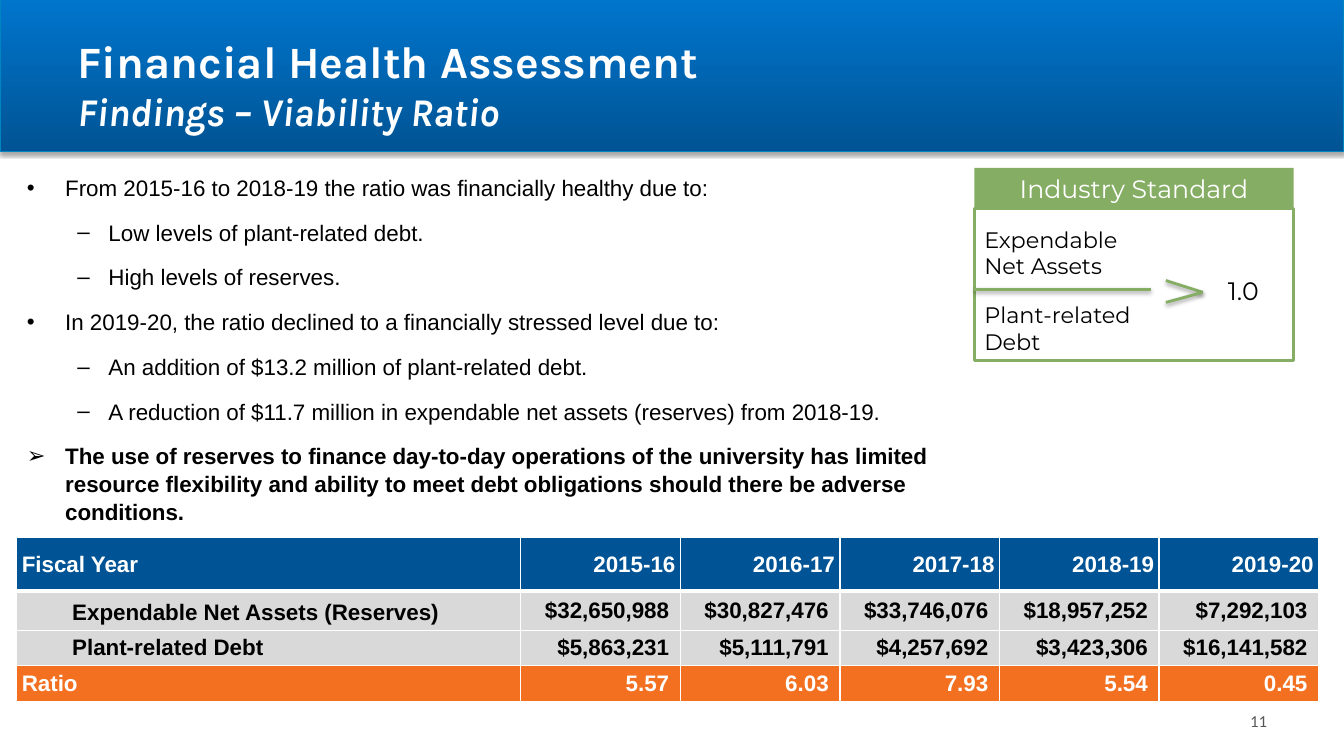
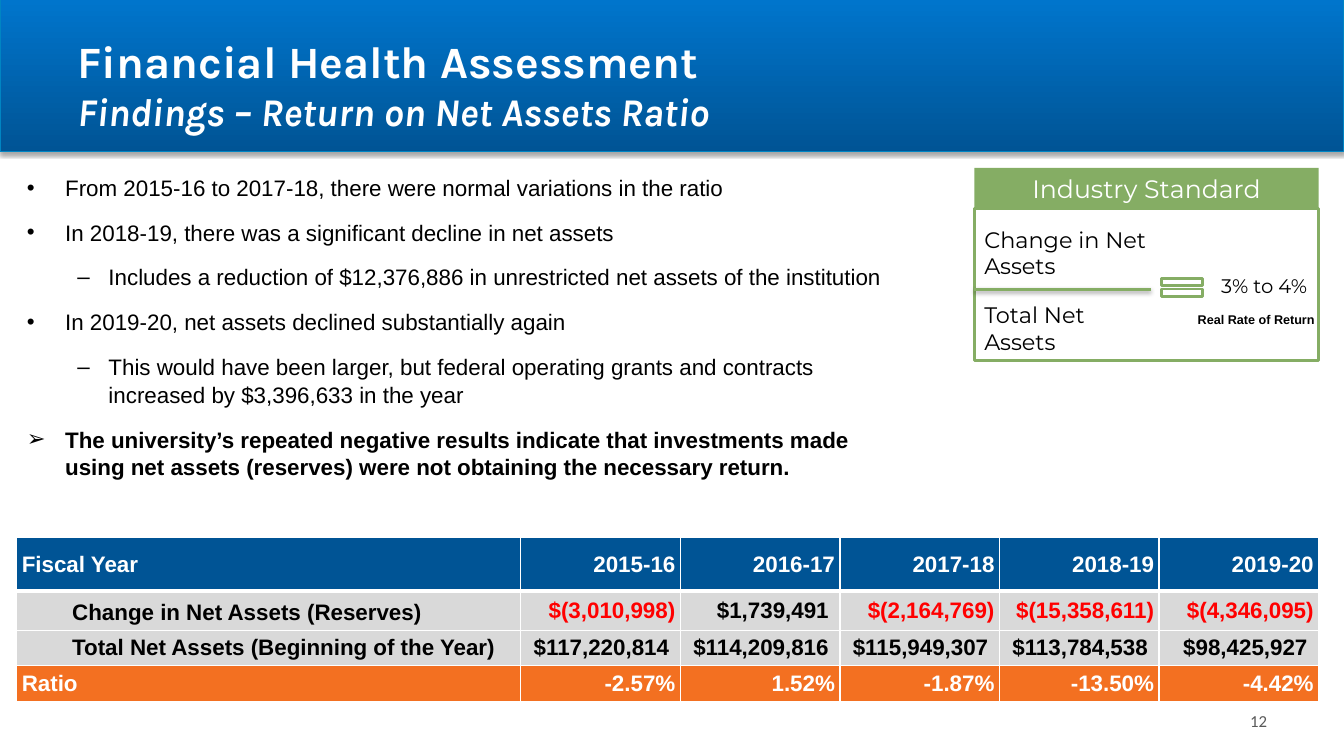
from pptx import Presentation, util as u
from pptx.dml.color import RGBColor
from pptx.enum import shapes, text
from pptx.oxml import parse_xml
from pptx.oxml.ns import nsdecls
from pptx.oxml.xmlchemy import OxmlElement

COLS, ROWS, CELLS_PER_INCH = 80, 45, 6
NAVY, BLUE, BAND_EDGE = "005495", "0075CC", "0085C3"
GREEN, ORANGE, GREY = "85AD64", "F37021", "D9D9D9"
WHITE, BLACK, RED, DIM = "FFFFFF", "000000", "FF0000", "595959"
YEARS = ["2015-16", "2016-17", "2017-18", "2018-19", "2019-20"]
BULLETS = {"•": (0, 0.38, -0.38), "–": (1, 0.81, -0.31), "➢": (0, 0.38, -0.38)}
CARD_LEFT, CARD_TOP, HEAD_HEIGHT = 58, 10, 2.4
LEFT, CENTER, RIGHT = text.PP_ALIGN.LEFT, text.PP_ALIGN.CENTER, text.PP_ALIGN.RIGHT
MIDDLE, BOTTOM = text.MSO_ANCHOR.MIDDLE, text.MSO_ANCHOR.BOTTOM


def grid(*counts):
    """Turn grid counts into lengths."""
    return [u.Inches(count / CELLS_PER_INCH) for count in counts]


def color(value):
    """Turn a hex string into a colour."""
    return RGBColor.from_string(value)


def place(shape, *area):
    """Move and size a shape on the grid."""
    shape.left, shape.top, shape.width, shape.height = grid(*area)


def add_span(para, words, size, face, ink, bold=None, italic=None):
    """Add one formatted run."""
    span = para.add_run()
    span.text = words
    font = span.font
    font.size, font.name, font.bold, font.italic = u.Pt(size), face, bold, italic
    font.color.rgb = color(ink)
    return span


def add_label(page, area, words, size, face="Montserrat", ink=BLACK, align=LEFT, bold=None):
    """Add a wrapped one-paragraph text box."""
    box = page.shapes.add_textbox(*grid(*area))
    box.text_frame.word_wrap = True
    para = box.text_frame.paragraphs[0]
    para.alignment = align
    add_span(para, words, size, face, ink, bold)
    return box


def add_shadow(shape, opacity, distance):
    """Give a shape a soft shadow below it."""
    shape.element.spPr.append(parse_xml(
        f'<a:effectLst {nsdecls("a")}><a:outerShdw blurRad="{u.Pt(3.1)}" dist="{u.Pt(distance)}" '
        f'dir="5400000" rotWithShape="0"><a:srgbClr val="000000"><a:alpha val="{opacity * 1000}"/>'
        '</a:srgbClr></a:outerShdw></a:effectLst>'))


def add_block(page, kind, area, fill, edge=None):
    """Add a flat preset shape, outlined if an edge colour is given."""
    block = page.shapes.add_shape(kind, *grid(*area))
    block.shadow.inherit = False
    block.fill.solid()
    block.fill.fore_color.rgb = color(fill)
    if edge:
        block.line.color.rgb, block.line.width = color(edge), u.Pt(2)
    else:
        block.line.fill.background()
    return block


def add_rule(owner, *ends):
    """Add a green shadowed line."""
    rule = owner.shapes.add_connector(shapes.MSO_CONNECTOR.STRAIGHT, *grid(*ends))
    rule.line.color.rgb, rule.line.width = color(GREEN), u.Pt(2)
    add_shadow(rule, 38, 1.6)


def add_band(page):
    """Put the title band on the layout of a page."""
    band = page.shapes.add_shape(shapes.MSO_SHAPE.RECTANGLE, *grid(0, 0, COLS, 9))
    band.fill.gradient()
    band.fill.gradient_angle = 90
    for stop, shade in zip(band.fill.gradient_stops, (NAVY, BLUE)):
        stop.color.rgb = color(shade)
    band.line.color.rgb, band.line.width = color(BAND_EDGE), u.Pt(0.75)
    add_shadow(band, 35, 1.8)
    page.slide_layout.shapes.element.insert(2, band.element)


def fill_title(page, subtitle):
    """Write the two-line title."""
    title = page.shapes.title
    place(title, 4, 1, 72, 8)
    title.text_frame.vertical_anchor = MIDDLE
    title.text_frame.auto_size = text.MSO_AUTO_SIZE.NONE
    para = title.text_frame.paragraphs[0]
    para.alignment = LEFT
    heading = add_span(para, "Financial Health Assessment", 32, "Karla", WHITE, True)
    heading.font.element.set("spc", "100") if hasattr(heading.font, "element") else None
    para.add_line_break()
    add_span(para, subtitle, 28, "Karla", WHITE, True, True)


def indent(para, margin, first=0):
    """Set the left margin and first-line indent, in inches."""
    props = para._p.get_or_add_pPr()
    props.set("marL", str(u.Inches(margin)))
    props.set("indent", str(u.Inches(first)))
    return props


def fill_body(page, width, findings):
    """Write the findings as a two-level list."""
    body = page.placeholders[1]
    place(body, 1, 10, width, 21)
    frame = body.text_frame
    frame.auto_size = text.MSO_AUTO_SIZE.NONE
    for index, (mark, words) in enumerate(findings):
        para = frame.add_paragraph() if index else frame.paragraphs[0]
        level, margin, first = BULLETS[mark]
        para.level = level
        props = indent(para, margin, first)
        for tag, key, value in (("a:buFont", "typeface", "Arial"), ("a:buChar", "char", mark)):
            bullet = OxmlElement(tag)
            bullet.set(key, value)
            props.append(bullet)
        para.space_before, para.space_after, para.line_spacing = u.Pt(0), u.Pt(12), 1.04
        add_span(para, words, 16, "Arial", BLACK, mark == "➢")


def add_borders(cell, top, bottom):
    """Draw white cell borders."""
    for side, width in (("L", 1), ("R", 1), ("T", top), ("B", bottom)):
        cell._tc.get_or_add_tcPr().append(parse_xml(
            f'<a:ln{side} {nsdecls("a")} w="{u.Pt(width)}"><a:solidFill>'
            f'<a:srgbClr val="{WHITE}"/></a:solidFill></a:ln{side}>'))


def add_ratio_table(page, measures, ratios):
    """Add the table of yearly values."""
    rows = [("Fiscal Year", YEARS), *measures, ("Ratio", ratios)]
    heights = (3.2, 2.34, 2, 2.16)
    widths = (30, *[9.5] * len(YEARS))
    table = page.shapes.add_table(len(rows), len(widths),
                                  *grid(1, 32, sum(widths), sum(heights))).table
    for column, width in zip(table.columns, grid(*widths)):
        column.width = width
    for row, height in zip(table.rows, grid(*heights)):
        row.height = height
    fills = (NAVY, GREY, GREY, ORANGE)
    for row, (name, values) in enumerate(rows):
        measure = fills[row] == GREY
        for column, words in enumerate((name, *values)):
            cell = table.cell(row, column)
            add_borders(cell, 3 if row == 1 else 1, 3 if row == 0 else 1)
            cell.fill.solid()
            cell.fill.fore_color.rgb = color(fills[row])
            cell.margin_left = cell.margin_right = u.Inches(0.05)
            cell.margin_top = cell.margin_bottom = u.Inches(0.05)
            cell.vertical_anchor = BOTTOM if measure and column == 0 else MIDDLE
            para = cell.text_frame.paragraphs[0]
            para.alignment = RIGHT if column else LEFT
            if measure and column == 0:
                indent(para, 0.5)
            ink = RED if words.startswith("$(") else BLACK if measure else WHITE
            add_span(para, words, 16, "Arial", ink, True)


def add_standard(page, width, numerator, denominator):
    """Add the card with the standard and its fraction."""
    rectangle = shapes.MSO_SHAPE.RECTANGLE
    add_block(page, rectangle, (CARD_LEFT, CARD_TOP + HEAD_HEIGHT, width, 9.06), WHITE, GREEN)
    head = add_block(page, rectangle, (CARD_LEFT, CARD_TOP, width, HEAD_HEIGHT), GREEN)
    para = head.text_frame.paragraphs[0]
    para.alignment = CENTER
    add_span(para, "Industry Standard", 18, "Montserrat", WHITE)
    for top, words in ((13.14, numerator), (17.64, denominator)):
        add_label(page, (CARD_LEFT, top, 11.5, 3.84), words, 16)
    add_rule(page, CARD_LEFT, 17.22, CARD_LEFT + 10.5, 17.22)


def add_minimum(page):
    """Add the greater-than sign and its threshold."""
    sign = page.shapes.add_group_shape()
    for start in (16.7, 18):
        add_rule(sign, 69.4, start, 71.6, 17.4)
    add_label(page, (72.5, 16.1, 6, 2.4), "1.0", 18)


def add_range(page):
    """Add the equals sign and its target range."""
    add_block(page, shapes.MSO_SHAPE.MATH_EQUAL, (68.7, 16.2, 3.3, 1.8), WHITE, GREEN)
    add_label(page, (71.5, 16, 7.5, 2), "3% to 4%", 14, align=CENTER)
    add_label(page, (70.7, 18.24, 8.7, 1.5), "Real Rate of Return", 9, "Arial", bold=True)


def add_number(page, number):
    """Add the slide number as a field."""
    box = add_label(page, (72.66, 41.7, 3.36, 2.4), str(number), 12, "Calibri", DIM, RIGHT)
    box.text_frame.vertical_anchor = MIDDLE
    run = box.text_frame.paragraphs[0].runs[0]._r
    field = OxmlElement("a:fld")
    field.set("id", "{B6F15528-21DE-4FAA-801E-634DDDAF4B2B}")
    field.set("type", "slidenum")
    run.addprevious(field)
    field.extend(list(run))
    run.getparent().remove(run)


def add_page(deck, number, subtitle, width, findings, measures, ratios):
    """Add a page with everything the slides share."""
    page = deck.slides.add_slide(deck.slide_layouts[1])
    fill_title(page, subtitle)
    fill_body(page, width, findings)
    add_ratio_table(page, measures, ratios)
    add_number(page, number)
    return page


def main():
    """Build and save the deck."""
    deck = Presentation()
    deck.slide_width, deck.slide_height = grid(COLS, ROWS)
    deck.element.set("firstSlideNum", "11")

    viability = add_page(deck, 11, "Findings – Viability Ratio", 57, [
        ("•", "From 2015-16 to 2018-19 the ratio was financially healthy due to:"),
        ("–", "Low levels of plant-related debt."),
        ("–", "High levels of reserves."),
        ("•", "In 2019-20, the ratio declined to a financially stressed level due to:"),
        ("–", "An addition of $13.2 million of plant-related debt."),
        ("–", "A reduction of $11.7 million in expendable net assets (reserves) from 2018-19."),
        ("➢", "The use of reserves to finance day-to-day operations of the university has limited "
              "resource flexibility and ability to meet debt obligations should there be adverse "
              "conditions."),
    ], [
        ("Expendable Net Assets (Reserves)",
         ["$32,650,988 ", "$30,827,476 ", "$33,746,076 ", "$18,957,252 ", "$7,292,103 "]),
        ("Plant-related Debt",
         ["$5,863,231 ", "$5,111,791 ", "$4,257,692 ", "$3,423,306 ", "$16,141,582 "]),
    ], ["5.57 ", "6.03 ", "7.93 ", "5.54 ", "0.45 "])
    add_band(viability)
    add_standard(viability, 19, "Expendable Net Assets", "Plant-related Debt")
    add_minimum(viability)

    returns = add_page(deck, 12, "Findings – Return on Net Assets Ratio", 54, [
        ("•", "From 2015-16 to 2017-18, there were normal variations in the ratio"),
        ("•", "In 2018-19, there was a significant decline in net assets"),
        ("–", "Includes a reduction of $12,376,886 in unrestricted net assets of the institution"),
        ("•", "In 2019-20, net assets declined substantially again"),
        ("–", "This would have been larger, but federal operating grants and contracts increased "
              "by $3,396,633 in the year"),
        ("➢", "The university’s repeated negative results indicate that investments made using net "
              "assets (reserves) were not obtaining the necessary return."),
    ], [
        ("Change in Net Assets (Reserves)",
         ["$(3,010,998)", "$1,739,491 ", "$(2,164,769)", "$(15,358,611)", "$(4,346,095)"]),
        ("Total Net Assets (Beginning of the Year)",
         ["$117,220,814 ", "$114,209,816 ", "$115,949,307 ", "$113,784,538 ", "$98,425,927 "]),
    ], ["-2.57%", "1.52%", "-1.87%", "-13.50%", "-4.42%"])
    add_standard(returns, 20.5, "Change in Net Assets", "Total Net Assets")
    add_range(returns)

    deck.save("out.pptx")


if __name__ == "__main__":
    main()
